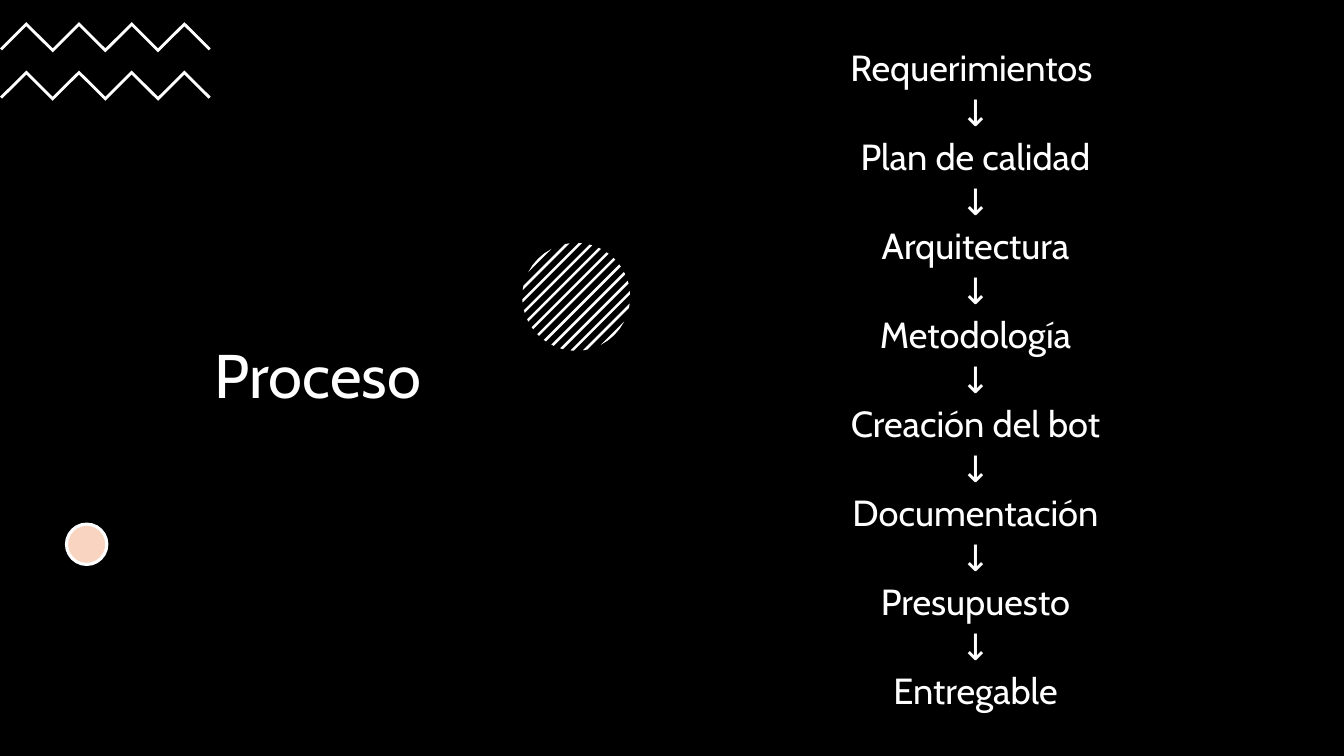
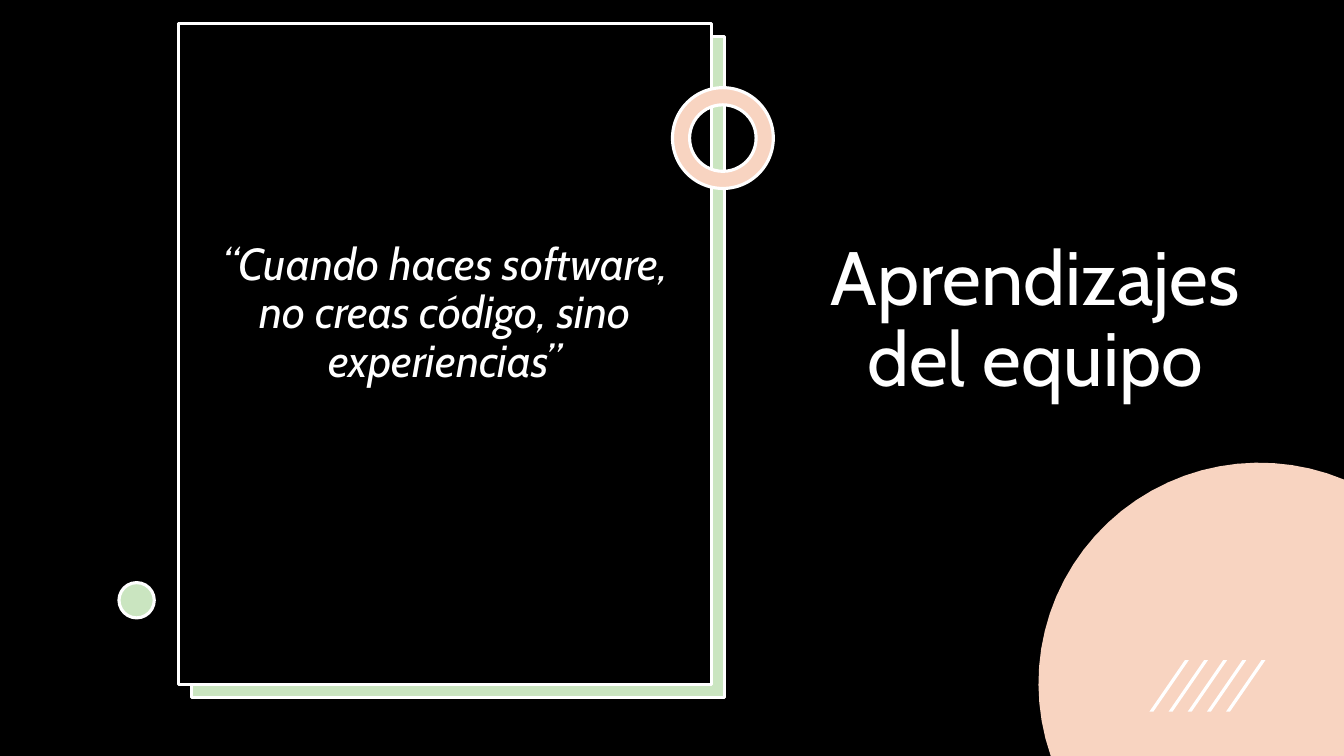
from math import acos, asin, cos, pi, sin
from pptx import Presentation
from pptx.dml.color import RGBColor
from pptx.enum.shapes import MSO_SHAPE
from pptx.enum.text import MSO_ANCHOR, PP_ALIGN
from pptx.util import Inches, Pt

WIDTH, HEIGHT = 13.33, 7.5


def color(hex_code):
    return RGBColor.from_string(hex_code)


class Deck:
    BLACK, WHITE, PEACH, GREEN = "000000", "FFFFFF", "F8D4C1", "CAE5C0"
    FONT = "Cabin"
    LINE_WIDTH = 2.25

    def __init__(self):
        self.presentation = Presentation()
        self.presentation.slide_width = Inches(WIDTH)
        self.presentation.slide_height = Inches(HEIGHT)
        self.slide = None

    def new_slide(self):
        self.slide = self.presentation.slides.add_slide(self.presentation.slide_layouts[6])
        self.preset(MSO_SHAPE.RECTANGLE, 0, 0, WIDTH, HEIGHT, self.BLACK)

    def paint(self, shape, fill, line=None):
        shape.shadow.inherit = False
        shape.fill.solid()
        shape.fill.fore_color.rgb = color(fill)
        if line:
            shape.line.color.rgb = color(line)
            shape.line.width = Pt(self.LINE_WIDTH)
        else:
            shape.line.fill.background()

    def preset(self, kind, left, top, width, height, fill, line=None, adjustment=None):
        shape = self.slide.shapes.add_shape(
            kind, Inches(left), Inches(top), Inches(width), Inches(height))
        if adjustment is not None:
            shape.adjustments[0] = adjustment
        self.paint(shape, fill, line)

    def outline(self, points, fill):
        corners = [(Inches(x), Inches(y)) for x, y in points]
        builder = self.slide.shapes.build_freeform(*corners[0])
        builder.add_line_segments(corners[1:], close=True)
        self.paint(builder.convert_to_shape(), fill)

    def text(self, left, top, width, height, paragraphs, size, line_spacing=0.9,
             space_before=0, anchor=MSO_ANCHOR.TOP, italic=False):
        frame = self.slide.shapes.add_textbox(
            Inches(left), Inches(top), Inches(width), Inches(height)).text_frame
        frame.word_wrap = True
        frame.vertical_anchor = anchor
        for index, content in enumerate(paragraphs):
            paragraph = frame.add_paragraph() if index else frame.paragraphs[0]
            paragraph.alignment = PP_ALIGN.CENTER
            paragraph.line_spacing = line_spacing
            paragraph.space_before = Pt(space_before)
            run = paragraph.add_run()
            run.text = content
            run.font.name = self.FONT
            run.font.size = Pt(size)
            run.font.italic = italic
            run.font.color.rgb = color(self.WHITE)

    def title(self, left, top, width, height, content, size):
        self.text(left, top, width, height, [content], size, anchor=MSO_ANCHOR.MIDDLE)

    def zigzag(self, top, width=2.09):
        step, rise, thickness = width / 8, 0.26, 0.04
        upper = [(i * step, top + (0 if i % 2 else rise)) for i in range(9)]
        lower = [(x, y + thickness) for x, y in upper]
        end_x, end_y = upper[-1]
        tips = [(end_x - 0.02, end_y + 0.02), (0.02, end_y + 0.02)]
        self.outline(upper + tips[:1] + lower[-2:0:-1] + tips[1:], self.WHITE)

    def arc(self, center_x, center_y, radius, start, end, steps):
        angles = [start + (end - start) * i / steps for i in range(steps + 1)]
        return [(center_x + radius * cos(a), center_y + radius * sin(a)) for a in angles]

    def hatched_circle(self, left, top, diameter):
        radius = diameter / 2
        center = (left + radius, top + radius, radius)
        pitch, half_stripe, last = radius / 6.15, radius / 42, 6
        cap = acos((last * pitch - half_stripe) / radius)
        diagonal = pi / 4
        self.outline(self.arc(*center, diagonal + pi - cap, diagonal + pi + cap, 4), self.WHITE)
        for k in range(1 - last, last):
            inner = acos((k * pitch - half_stripe) / radius)
            outer = acos((k * pitch + half_stripe) / radius)
            self.outline(self.arc(*center, diagonal + outer, diagonal + inner, 1)
                         + self.arc(*center, diagonal - inner, diagonal - outer, 1), self.WHITE)
        self.outline(self.arc(*center, diagonal - cap, diagonal + cap, 4), self.WHITE)

    def corner_circle(self, center_x, center_y, radius, fill):
        start = pi - asin((HEIGHT - center_y) / radius)
        end = 2 * pi - acos((WIDTH - center_x) / radius)
        edge = self.arc(center_x, center_y, radius, start, end, 28)
        self.outline(edge + [(WIDTH, HEIGHT)], fill)

    def dot(self, left, top, diameter, fill):
        self.preset(MSO_SHAPE.OVAL, left, top, diameter, diameter, fill, self.WHITE)

    def slashes(self, left, top, count=5, pitch=0.19):
        for i in range(count):
            self.preset(MSO_SHAPE.PARALLELOGRAM, left + i * pitch, top, 0.39, 0.51,
                        self.WHITE, adjustment=0.9)

    def card(self, left, top, width, height, offset=0.13):
        self.preset(MSO_SHAPE.RECTANGLE, left + offset, top + offset, width, height,
                    self.GREEN, self.WHITE)
        self.preset(MSO_SHAPE.RECTANGLE, left, top, width, height, self.BLACK, self.WHITE)


def build_process(deck):
    deck.new_slide()
    deck.title(1.21, 0.76, 3.89, 5.99, "Proceso", 44)
    for top in (0.22, 0.7):
        deck.zigzag(top)
    deck.hatched_circle(5.18, 2.41, 1.07)
    deck.dot(0.66, 5.2, 0.4, deck.PEACH)
    stages = ["Requerimientos ", "Plan de calidad", "Arquitectura", "Metodología",
              "Creación del bot", "Documentación", "Presupuesto", "Entregable"]
    flow = [line for stage in stages for line in (stage, "↓")][:-1]
    deck.text(6.82, 0.52, 5.71, 6.71, flow, 25.9, line_spacing=0.7, space_before=10)


def build_learnings(deck):
    deck.new_slide()
    deck.card(1.77, 0.23, 5.29, 6.56)
    deck.title(8.04, 0.27, 4.45, 5.84, "Aprendizajes del equipo", 54)
    deck.corner_circle(12.49, 6.78, 2.19, deck.PEACH)
    quote = "“Cuando haces software, no creas código, sino experiencias”"
    deck.text(1.98, 2.35, 4.87, 3.76, [quote], 32, space_before=10, italic=True)
    deck.preset(MSO_SHAPE.DONUT, 6.67, 0.87, 1, 1, deck.PEACH, deck.WHITE, adjustment=0.17)
    deck.dot(1.18, 5.78, 0.35, deck.GREEN)
    deck.slashes(11.4, 6.55)


def main():
    deck = Deck()
    build_process(deck)
    build_learnings(deck)
    deck.presentation.save("out.pptx")


if __name__ == "__main__":
    main()
